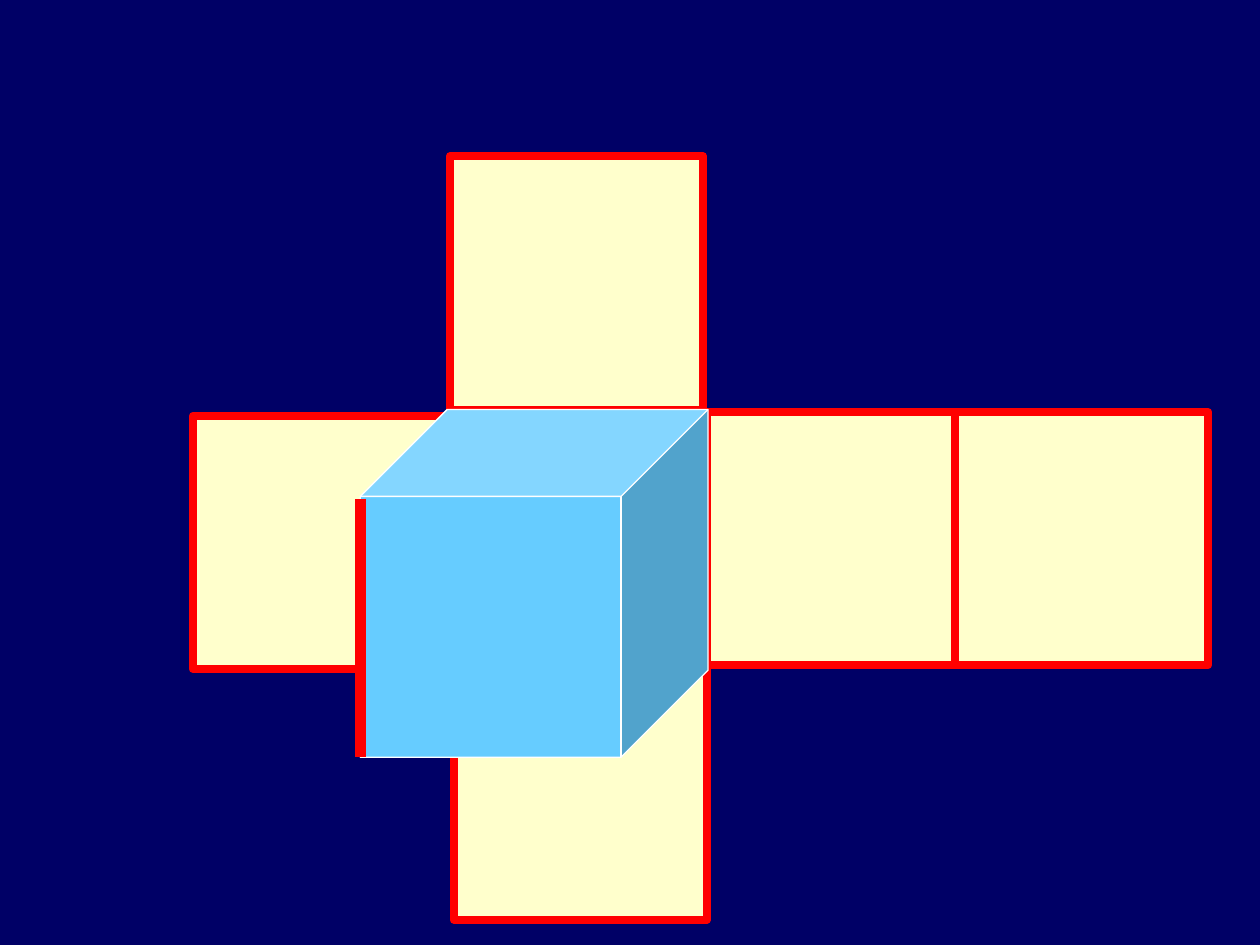
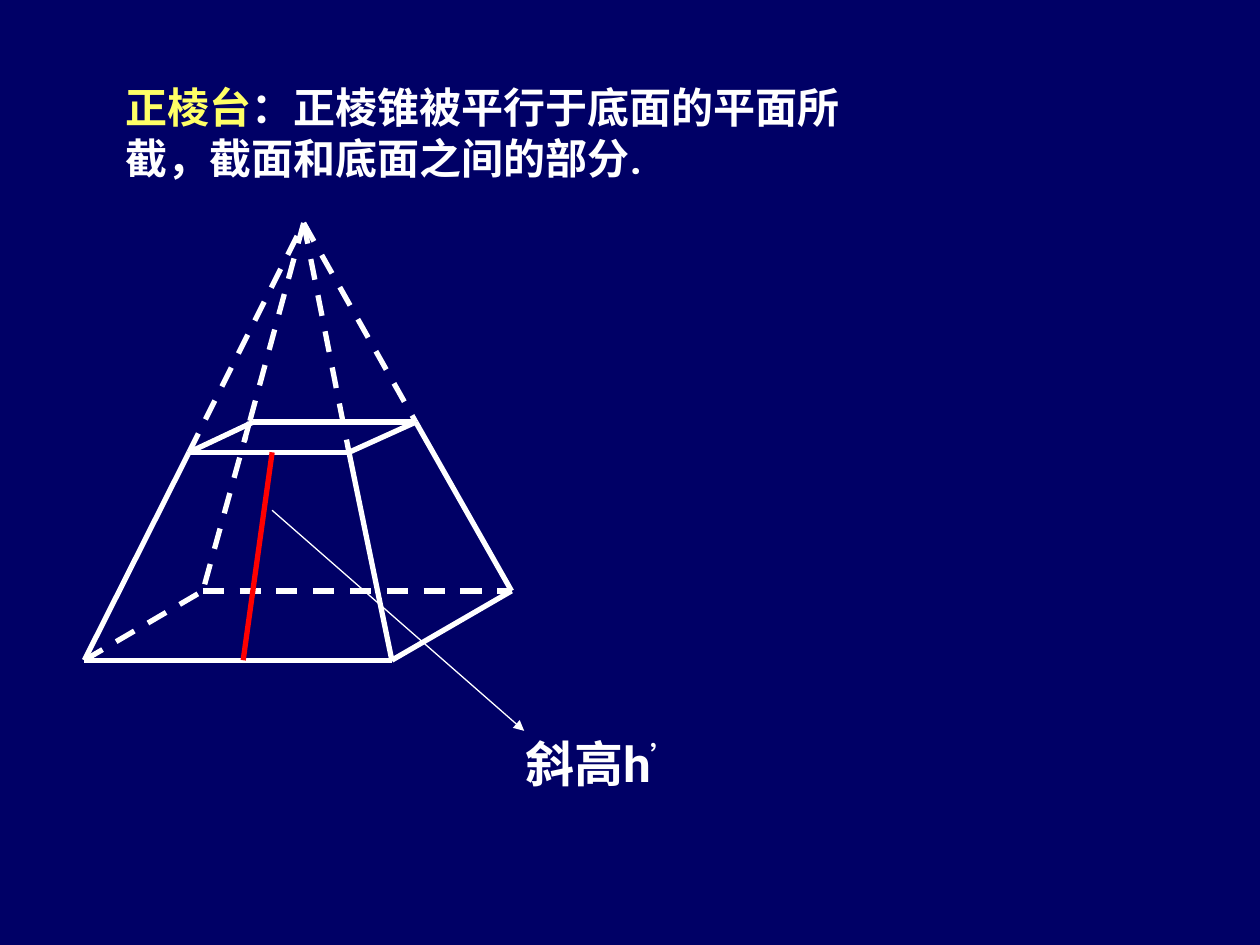
"""Build two geometry slides: the net of a cube and a regular frustum."""
from lxml.etree import SubElement
from pptx import Presentation
from pptx.dml.color import RGBColor
from pptx.enum.dml import MSO_LINE
from pptx.enum.shapes import MSO_CONNECTOR, MSO_SHAPE
from pptx.enum.text import MSO_AUTO_SIZE, PP_ALIGN
from pptx.oxml.ns import qn
from pptx.util import Inches, Pt

NAVY = RGBColor(0x00, 0x00, 0x66)
CREAM = RGBColor(0xFF, 0xFF, 0xCC)
SKY = RGBColor(0x66, 0xCC, 0xFF)
RED = RGBColor(0xFF, 0x00, 0x00)
WHITE = RGBColor(0xFF, 0xFF, 0xFF)
YELLOW = RGBColor(0xFF, 0xFF, 0x66)
MAIN_FONT = "Roboto"

SIDE = 2.01
NET_CORNERS = [(5.61, 3.27), (7.58, 3.27), (3.57, 1.24), (1.53, 3.3), (3.6, 5.29)]

APEX = (2.41, 1.77)
BASE_FL, BASE_FR = (0.67, 5.24), (3.11, 5.24)
BASE_BL, BASE_BR = (1.61, 4.69), (4.06, 4.69)
TOP_FL, TOP_FR = (1.5, 3.59), (2.77, 3.59)
TOP_BL, TOP_BR = (2.01, 3.35), (3.3, 3.35)
BEHIND_TOP = (1.94, 3.5)

SOLID_EDGES = [
    (BASE_FL, BASE_FR), (BASE_FR, BASE_BR),
    (TOP_FL, TOP_FR), (TOP_FR, TOP_BR), (TOP_BL, TOP_BR), (TOP_FL, TOP_BL),
    (BASE_FL, TOP_FL), (TOP_FR, BASE_FR), (TOP_BR, BASE_BR),
]
DASHED_EDGES = [
    (BASE_FL, BASE_BL), (BASE_BL, BASE_BR), ((1.98, 3.35), BASE_BL),
    (TOP_FL, APEX), (APEX, BEHIND_TOP), (APEX, TOP_FR), (APEX, TOP_BR),
]


def add_solid(s, kind, left, top, size, fill, line, width):
    """Add a filled, outlined shape with equal width and height."""
    sp = s.shapes.add_shape(kind, Inches(left), Inches(top), Inches(size), Inches(size))
    sp.shadow.inherit = False
    sp.fill.solid()
    sp.fill.fore_color.rgb = fill
    sp.line.color.rgb = line
    sp.line.width = Pt(width)
    return sp


def add_line(s, start, end, color=WHITE, width=3, dashed=False, arrow=False):
    """Add a straight line between two points given in inches."""
    points = [Inches(v) for v in (*start, *end)]
    cxn = s.shapes.add_connector(MSO_CONNECTOR.STRAIGHT, *points)
    cxn.line.color.rgb = color
    cxn.line.width = Pt(width)
    if dashed:
        cxn.line.dash_style = MSO_LINE.DASH
    sp_pr = cxn._element.spPr
    if arrow:
        SubElement(sp_pr.find(qn("a:ln")), qn("a:tailEnd"), type="triangle")
    SubElement(sp_pr, qn("a:effectLst"))


def add_text(s, left, top, width, height, texts, size, align=PP_ALIGN.LEFT):
    """Add a one-paragraph bold text box and return its runs."""
    box = s.shapes.add_textbox(Inches(left), Inches(top), Inches(width), Inches(height))
    tf = box.text_frame
    tf.word_wrap = True
    tf.auto_size = MSO_AUTO_SIZE.SHAPE_TO_FIT_TEXT
    p = tf.paragraphs[0]
    p.alignment = align
    p.font.size = Pt(size)
    p.font.bold = True
    for text in texts:
        r = p.add_run()
        r.text = text
        r.font.name = MAIN_FONT
        r.font.color.rgb = WHITE
    return p.runs


def build_cube_net(s):
    """Draw the unfolded faces with the cube in front."""
    for left, top in NET_CORNERS:
        add_solid(s, MSO_SHAPE.RECTANGLE, left, top, SIDE, CREAM, RED, 4.5)
    cube = add_solid(s, MSO_SHAPE.CUBE, 2.86, 3.25, 2.76, SKY, WHITE, 0.75)
    cube.adjustments[0] = 0.25
    add_line(s, (2.86, 3.96), (2.86, 6.01), RED, 6)


def build_frustum(s):
    """Draw the frustum, its cut-off pyramid and its slant height."""
    for start, end in SOLID_EDGES:
        add_line(s, start, end)
    for start, end in DASHED_EDGES:
        add_line(s, start, end, dashed=True)
    term, _ = add_text(s, 0.9, 0.6, 6.06, 0.9,
                       ["正棱台", "：正棱锥被平行于底面的平面所截，截面和底面之间的部分."], 24)
    term.font.color.rgb = YELLOW
    add_line(s, (2.16, 3.59), (1.93, 5.24), RED)
    add_line(s, (2.16, 4.05), (4.16, 5.8), width=0.75, arrow=True)
    _, prime = add_text(s, 3.85, 5.77, 1.86, 0.57, ["斜高h", "’"], 28, PP_ALIGN.CENTER)
    prime.font.name = "Arial"
    prime.font._element.set("baseline", "30000")


def main():
    """Create and save the presentation."""
    prs = Presentation()
    prs.slide_width, prs.slide_height = Inches(10), Inches(7.5)
    fill = prs.slide_master.background.fill
    fill.solid()
    fill.fore_color.rgb = NAVY
    for build in (build_cube_net, build_frustum):
        build(prs.slides.add_slide(prs.slide_layouts[6]))
    prs.save("out.pptx")


if __name__ == "__main__":
    main()
